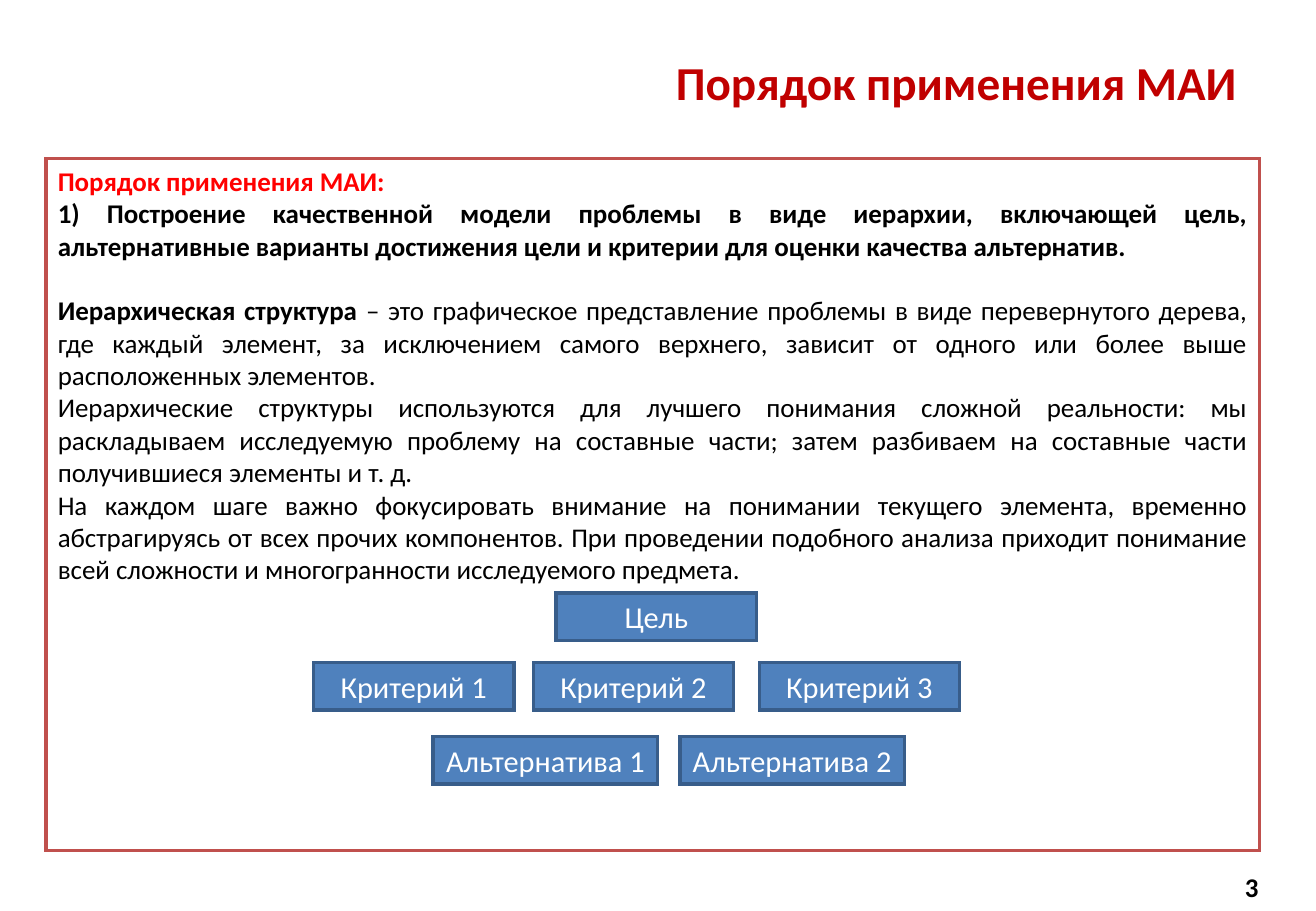
"""Builds the slide on the order of applying the hierarchy method."""
from lxml import etree
from pptx import Presentation, util as u
from pptx.dml.color import RGBColor
from pptx.enum import shapes, text
from pptx.oxml import ns

Pt = u.Pt
ALIGN = text.PP_ALIGN
MID = text.MSO_ANCHOR.MIDDLE
HUES = {"title": "C00000", "head": "FF0000", "ink": "000000", "paper": "FFFFFF",
        "frame": "C0504D", "node": "4F81BD", "edge": "385D8A"}

deck = Presentation()
deck.slide_width, deck.slide_height = Pt(780.48), Pt(540)
slide = deck.slides.add_slide(deck.slide_layouts[6])


def add_run(para, words, size, hue, bold=False):
    run = para.add_run()
    run.text = words
    run.font.name = "Calibri"
    run.font.size = Pt(size)
    run.font.bold = bold
    run.font.color.rgb = RGBColor.from_string(HUES[hue])


def add_box(area, fill, line):
    box = slide.shapes.add_shape(shapes.MSO_SHAPE.RECTANGLE, *map(Pt, area))
    box.shadow.inherit = False
    box.fill.solid()
    box.fill.fore_color.rgb = RGBColor.from_string(HUES[fill])
    box.line.color.rgb = RGBColor.from_string(HUES[line])
    box.line.width = Pt(2)
    edge = box.element.spPr.find(ns.qn("a:ln"))
    etree.SubElement(edge, ns.qn("a:miter"), lim="800000")
    box.text_frame.word_wrap = True
    return box.text_frame


labels = [
    ((38.2, 26.2, 702, 43.9), "Порядок применения МАИ", 28, "title"),
    ((571.2, 511.4, 182.2, 28.6), "3", 16, "ink"),
]
for area, words, size, hue in labels:
    frame = slide.shapes.add_textbox(*map(Pt, area)).text_frame
    frame.word_wrap = True
    frame.vertical_anchor = MID
    para = frame.paragraphs[0]
    para.alignment = ALIGN.RIGHT
    add_run(para, words, size, hue, True)

body = [
    (0, [("Порядок применения МАИ:", "head", True)]),
    (0, [("1) Построение качественной модели проблемы в виде иерархии, включающей цель, "
          "альтернативные варианты достижения цели и критерии для оценки качества "
          "альтернатив.", "ink", True)]),
    (19.2, [("Иерархическая структура ", "ink", True),
            ("– это графическое представление проблемы в виде перевернутого дерева, где "
             "каждый элемент, за исключением самого верхнего, зависит от одного или более "
             "выше расположенных элементов. ", "ink", False)]),
    (0, [("Иерархические структуры используются для лучшего понимания сложной реальности: "
          "мы раскладываем исследуемую проблему на составные части; затем разбиваем на "
          "составные части получившиеся элементы и т. д. ", "ink", False)]),
    (0, [("На каждом шаге важно фокусировать внимание на понимании текущего элемента, "
          "временно абстрагируясь от всех прочих компонентов. При проведении подобного "
          "анализа приходит понимание всей сложности и многогранности исследуемого "
          "предмета.", "ink", False)]),
]
panel = add_box((27.2, 93.9, 720, 410.4), "paper", "frame")
panel.vertical_anchor = text.MSO_ANCHOR.TOP
for spot, (gap, runs) in enumerate(body):
    para = panel.add_paragraph() if spot else panel.paragraphs[0]
    para.alignment = ALIGN.JUSTIFY
    if gap:
        para.space_before = Pt(gap)
    for words, hue, bold in runs:
        add_run(para, words, 16, hue, bold)

levels = [
    (351.5, 118.8, [(329.8, "Цель")]),
    (392.7, 118.8, [(186, "Критерий 1"), (316.3, "Критерий 2"), (450.3, "Критерий 3")]),
    (436.6, 133.2, [(256.9, "Альтернатива 1"), (403.2, "Альтернатива 2")]),
]
for top, width, nodes in levels:
    for left, words in nodes:
        frame = add_box((left, top, width, 28.1), "node", "edge")
        frame.vertical_anchor = MID
        para = frame.paragraphs[0]
        para.alignment = ALIGN.CENTER
        add_run(para, words, 18, "paper")

deck.save("out.pptx")
